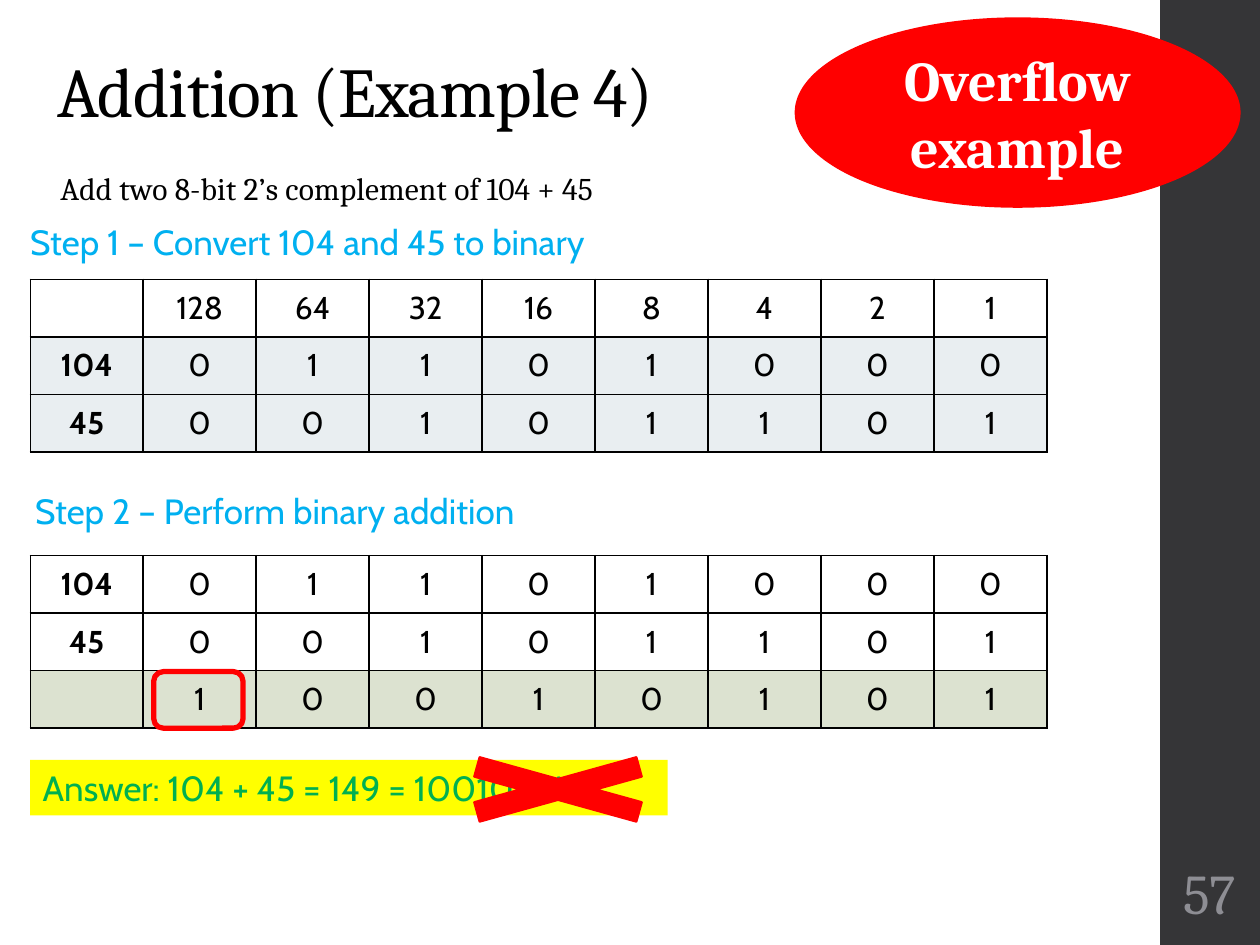
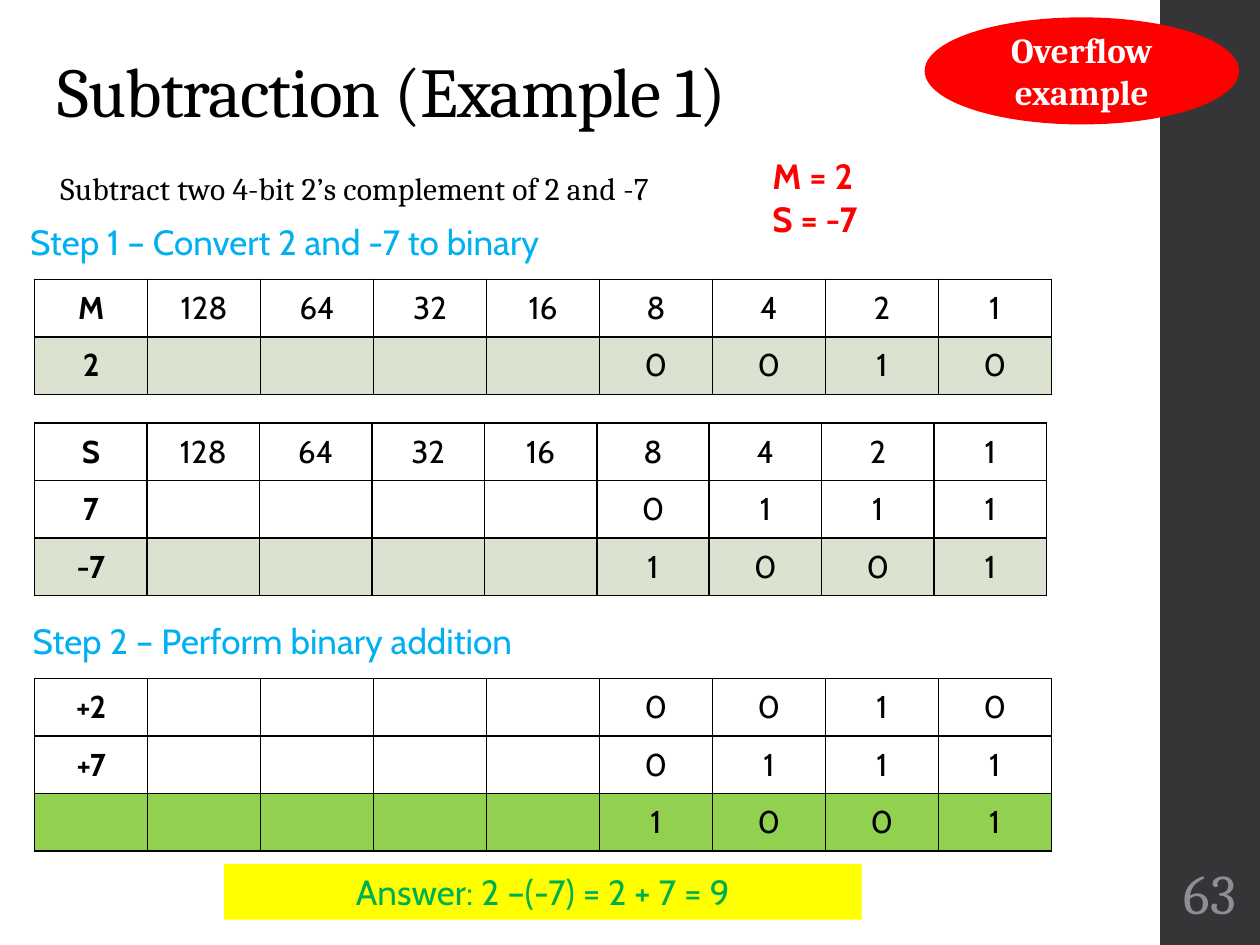
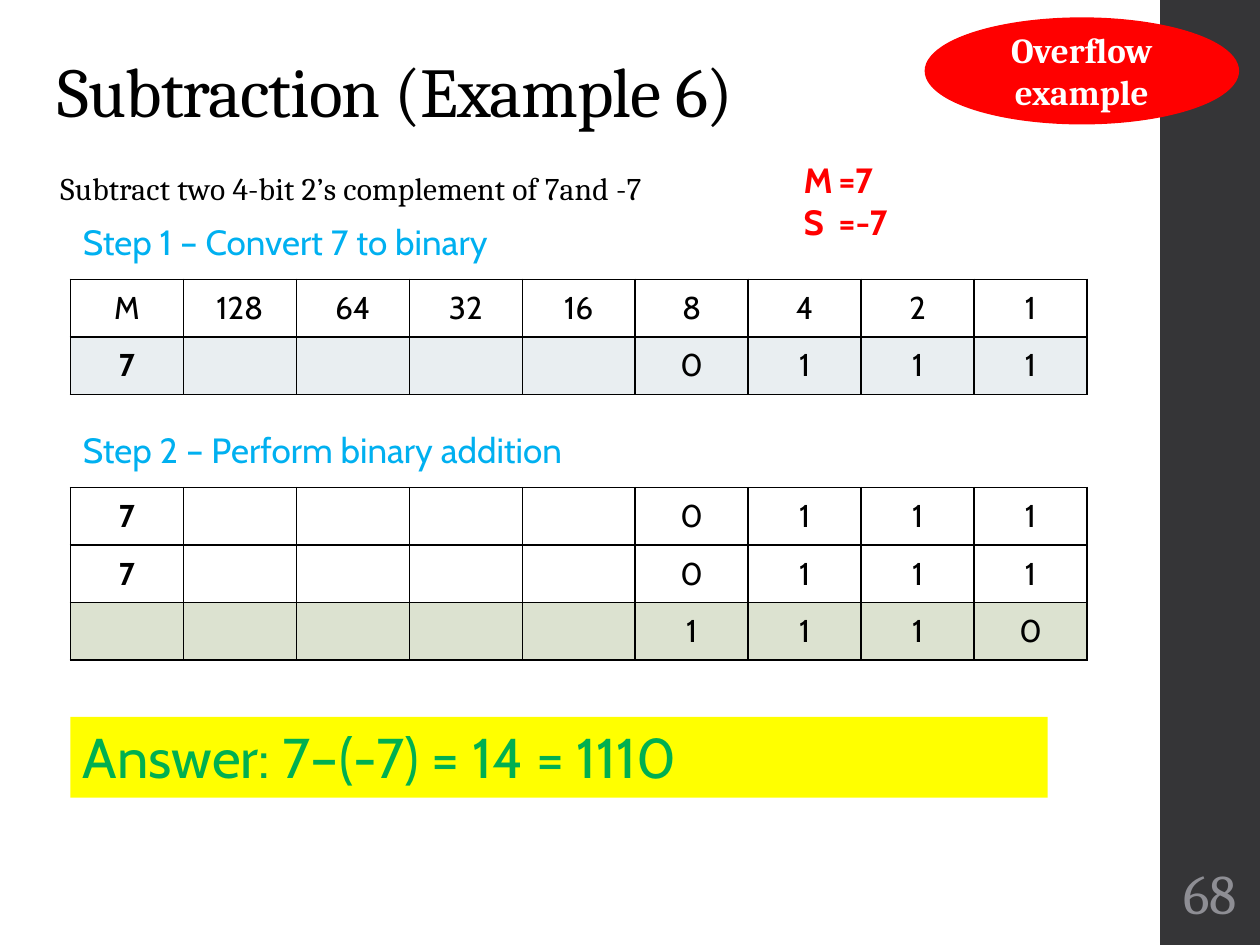
from lxml.etree import SubElement
from pptx import Presentation
from pptx.dml.color import RGBColor
from pptx.enum.shapes import MSO_SHAPE
from pptx.enum.text import MSO_ANCHOR, PP_ALIGN
from pptx.oxml import parse_xml
from pptx.oxml.ns import nsdecls, qn
from pptx.util import Cm, Pt

# Shared look
SERIF, SANS = "Cambria", "Cabin"
BLACK, WHITE, RED = "000000", "FFFFFF", "FF0000"
BAND, PAGE_GREY = "353537", "8E8E94"
STEP_BLUE, ANSWER_GREEN, ANSWER_YELLOW = "00B0F0", "00B050", "FFFF00"
PALE_BLUE, PALE_GREEN, BRIGHT_GREEN = "E9EEF1", "DCE2D0", "92D050"

WEIGHTS = [str(2 ** power) for power in range(7, -1, -1)]
ROW_HEIGHT = 1.16
TABLE_WIDTH = 20.5


def color(hex_string):
    return RGBColor.from_string(hex_string)


def box_of(left, top, width, height):
    return Cm(left), Cm(top), Cm(width), Cm(height)


def format_text(text_frame, size, font, text_color, bold=False,
                align=PP_ALIGN.LEFT, spacing=None):
    for paragraph in text_frame.paragraphs:
        paragraph.alignment = align
        for run in paragraph.runs:
            run.font.size = Pt(size)
            run.font.name = font
            run.font.bold = bold
            run.font.color.rgb = color(text_color)
            if spacing is not None:
                run._r.get_or_add_rPr().set("spc", str(spacing))


def add_text(slide, box, text, size, font, text_color,
             anchor=MSO_ANCHOR.TOP, wrap=True, **style):
    text_frame = slide.shapes.add_textbox(*box_of(*box)).text_frame
    text_frame.word_wrap = wrap
    text_frame.vertical_anchor = anchor
    text_frame.text = text
    format_text(text_frame, size, font, text_color, **style)
    return text_frame


def add_figure(slide, kind, box, fill=None, line=None, line_width=1.1):
    shape = slide.shapes.add_shape(kind, *box_of(*box))
    shape.shadow.inherit = False
    if fill:
        shape.fill.solid()
        shape.fill.fore_color.rgb = color(fill)
    else:
        shape.fill.background()
    if line:
        shape.line.color.rgb = color(line)
        shape.line.width = Pt(line_width)
    else:
        shape.line.fill.background()
    return shape


# Slide frame: band, title, task and page number
def add_frame(presentation, title, task, page):
    slide = presentation.slides.add_slide(presentation.slide_layouts[6])
    add_figure(slide, MSO_SHAPE.RECTANGLE, (23.39, 0, 2.01, 19.05), BAND)
    heading = add_text(slide, (0.91, 0.74, 21.92, 2.06), title, 40, SERIF, BLACK,
                       MSO_ANCHOR.BOTTOM, spacing=-50)
    heading.paragraphs[0].line_spacing = 0.9
    body = add_text(slide, (0.97, 3.33, 21.92, 1.19), task, 18, SERIF, BLACK,
                    spacing=10)
    body.paragraphs[0].line_spacing = 0.95
    number = add_text(slide, (23.44, 17.15, 1.9, 1.65), page, 32, SERIF, PAGE_GREY,
                      MSO_ANCHOR.MIDDLE, align=PP_ALIGN.CENTER)
    number.margin_left = number.margin_right = Cm(0.08)
    return slide


def add_step(slide, left, top, text):
    add_text(slide, (left, top, 12.85, 1.12), text, 20, SANS, STEP_BLUE)


def add_answer(slide, box, text, size=20, align=PP_ALIGN.LEFT):
    shape = add_figure(slide, MSO_SHAPE.RECTANGLE, box, ANSWER_YELLOW)
    shape.text_frame.vertical_anchor = MSO_ANCHOR.TOP
    shape.text_frame.text = text
    format_text(shape.text_frame, size, SANS, ANSWER_GREEN, align=align)


def add_overflow_badge(slide, box, size):
    shape = add_figure(slide, MSO_SHAPE.OVAL, box, RED, RED)
    shape.text_frame.vertical_anchor = MSO_ANCHOR.MIDDLE
    shape.text_frame.text = "Overflow example"
    format_text(shape.text_frame, size, SERIF, WHITE, True, PP_ALIGN.CENTER)


def add_operands(slide, left, top, text):
    text_frame = add_text(slide, (left, top, 2.72, 1.96), text, 20, SANS, RED,
                          wrap=False, bold=True)
    for paragraph in text_frame.paragraphs:
        tabs = SubElement(paragraph._p.get_or_add_pPr(), qn("a:tabLst"))
        SubElement(tabs, qn("a:tab"), pos=str(Cm(0.7)), algn="l")


# Binary tables: a label, then digits aligned to the right-hand columns
def add_borders(cell):
    properties = cell._tc.get_or_add_tcPr()
    for index, edge in enumerate(("lnL", "lnR", "lnT", "lnB")):
        properties.insert(index, parse_xml(
            f'<a:{edge} {nsdecls("a")} w="{Pt(1)}"><a:solidFill>'
            f'<a:srgbClr val="{BLACK}"/></a:solidFill></a:{edge}>'))


def add_binary_table(slide, left, top, rows, width=TABLE_WIDTH, bold_first=True):
    column_count = len(WEIGHTS) + 1
    table = slide.shapes.add_table(
        len(rows), column_count,
        *box_of(left, top, width, ROW_HEIGHT * len(rows))).table
    table.first_row = table.horz_banding = False
    for column in table.columns:
        column.width = Cm(width / column_count)
    for row_index, (label, digits, fill) in enumerate(rows):
        padding = [""] * (len(WEIGHTS) - len(digits))
        for column_index, text in enumerate([label, *padding, *digits]):
            cell = table.cell(row_index, column_index)
            cell.text = text
            cell.vertical_anchor = MSO_ANCHOR.MIDDLE
            bold = column_index == 0 and (bold_first or row_index > 0)
            format_text(cell.text_frame, 18, SANS, BLACK, bold, PP_ALIGN.CENTER)
            cell.fill.solid()
            cell.fill.fore_color.rgb = color(fill)
            add_borders(cell)


def build_addition(presentation):
    slide = add_frame(presentation, "Addition (Example 4)",
                      "Add two 8-bit 2’s complement of 104 + 45", "57")
    add_step(slide, 0.36, 4.32, "Step 1 – Convert 104 and 45 to binary")
    add_binary_table(slide, 0.61, 5.63, [
        ("", WEIGHTS, WHITE),
        ("104", "01101000", PALE_BLUE),
        ("45", "00101101", PALE_BLUE)])
    add_step(slide, 0.46, 9.75, "Step 2 – Perform binary addition")
    add_binary_table(slide, 0.61, 11.2, [
        ("104", "01101000", WHITE),
        ("45", "00101101", WHITE),
        ("", "10010101", PALE_GREEN)])
    add_answer(slide, (0.61, 15.32, 12.85, 1.12), "Answer: 104 + 45 = 149 = 10010101")
    add_overflow_badge(slide, (16.04, 0.37, 8.95, 3.8), 32)
    # Wrong answer crossed out, sign bit framed
    add_figure(slide, MSO_SHAPE.MATH_MULTIPLY, (8.1, 15.04, 6.3, 1.75), RED, RED)
    add_figure(slide, MSO_SHAPE.ROUNDED_RECTANGLE, (3.1, 13.54, 1.8, 1.14),
               line=RED, line_width=3)


def build_subtraction_1(presentation):
    slide = add_frame(presentation, "Subtraction (Example 1)",
                      "Subtract two 4-bit 2’s complement of 2 and -7", "63")
    add_step(slide, 0.36, 4.32, "Step 1 – Convert 2 and -7 to binary")
    add_binary_table(slide, 0.7, 5.63, [
        ("M", WEIGHTS, WHITE),
        ("2", "0010", PALE_GREEN)])
    add_binary_table(slide, 0.7, 8.53, [
        ("S", WEIGHTS, WHITE),
        ("7", "0111", WHITE),
        ("-7", "1001", PALE_GREEN)], width=20.4)
    add_step(slide, 0.41, 12.37, "Step 2 – Perform binary addition")
    add_binary_table(slide, 0.7, 13.68, [
        ("+2", "0010", WHITE),
        ("+7", "0111", WHITE),
        ("", "1001", BRIGHT_GREEN)])
    add_answer(slide, (4.52, 17.42, 12.85, 1.12), "Answer: 2 –(-7) = 2 + 7 = 9",
               align=PP_ALIGN.CENTER)
    add_operands(slide, 15.32, 3.0, "M = 2\nS = -7")
    add_overflow_badge(slide, (18.66, 0.37, 6.3, 2.12), 20)


def build_subtraction_6(presentation):
    slide = add_frame(presentation, "Subtraction (Example 6)",
                      "Subtract two 4-bit 2’s complement of 7and -7", "68")
    add_step(slide, 1.42, 4.32, "Step 1 – Convert 7 to binary")
    add_binary_table(slide, 1.42, 5.63, [
        ("M", WEIGHTS, WHITE),
        ("7", "0111", PALE_BLUE)], bold_first=False)
    add_step(slide, 1.42, 8.51, "Step 2 – Perform binary addition")
    add_binary_table(slide, 1.42, 9.83, [
        ("7", "0111", WHITE),
        ("7", "0111", WHITE),
        ("", "1110", PALE_GREEN)])
    add_answer(slide, (1.42, 14.45, 19.7, 1.63), "Answer: 7–(-7) = 14 = 1110", 32)
    add_operands(slide, 15.95, 3.07, "M\t=7\nS\t=-7")
    add_overflow_badge(slide, (18.66, 0.37, 6.3, 2.12), 20)


def main():
    presentation = Presentation()
    presentation.slide_width, presentation.slide_height = Cm(25.4), Cm(19.05)
    build_addition(presentation)
    build_subtraction_1(presentation)
    build_subtraction_6(presentation)
    presentation.save("out.pptx")


if __name__ == "__main__":
    main()
